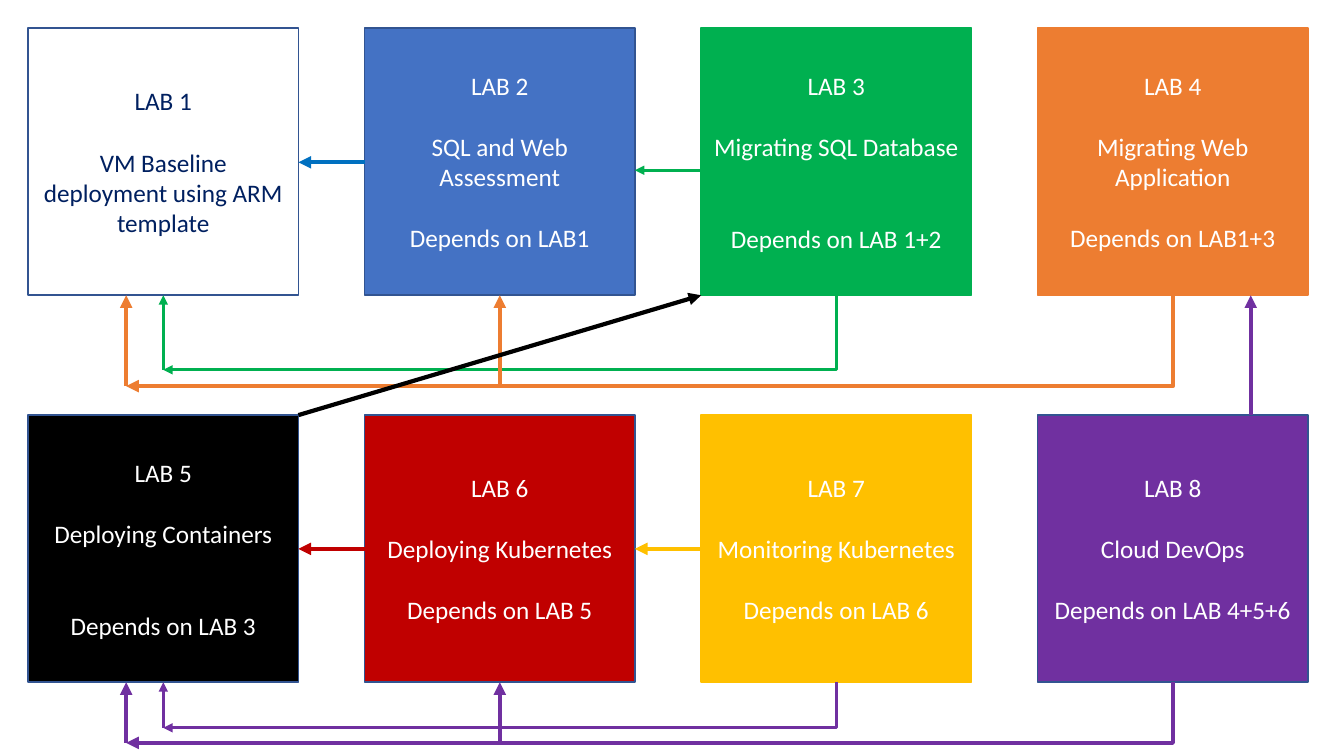
import pptx
import pptx.util
import pptx.dml.color
import pptx.enum.shapes
import pptx.enum.text
import pptx.oxml
import pptx.oxml.ns

Cm, Pt = pptx.util.Cm, pptx.util.Pt
Kind = pptx.enum.shapes.MSO_CONNECTOR
qn = pptx.oxml.ns.qn

theme = {
    "font": "Calibri", "size": 18, "blank": 22,
    "white": "FFFFFF", "navy": "002060", "edge": "325491",
    "sky": "0070C0", "blue": "4472C4", "green": "00B050", "orange": "ED7D31",
    "black": "000000", "red": "C00000", "gold": "FFC000", "purple": "7030A0",
}

deck = pptx.Presentation()
deck.slide_width, deck.slide_height = Cm(33.87), Cm(19.05)
slide = deck.slides.add_slide(deck.slide_layouts[6])


def color(name):
    return pptx.dml.color.RGBColor.from_string(theme[name])


def arrow(start, end, paint, width=3, bent=False):
    """Arrow from start to end; a bent one goes down, then left."""
    (x1, y1), (x2, y2) = start, end
    if bent:
        # The preset goes right, then down: lay its box out before a quarter turn
        midx, midy = (x1 + x2) / 2, (y1 + y2) / 2
        drop, run = y2 - y1, x1 - x2
        x1, x2 = midx - drop / 2, midx + drop / 2
        y1, y2 = midy - run / 2, midy + run / 2
    line = slide.shapes.add_connector(
        Kind.ELBOW if bent else Kind.STRAIGHT, Cm(x1), Cm(y1), Cm(x2), Cm(y2))
    line.line.color.rgb = color(paint)
    line.line.width = Pt(width)
    prop = line._element.spPr
    if bent:
        prop.find(qn("a:xfrm")).set("rot", "5400000")
        prop.find(qn("a:prstGeom")).set("prst", "bentConnector2")
    tip = pptx.oxml.parse_xml(
        '<a:tailEnd xmlns:a="http://schemas.openxmlformats.org/drawingml/2006/main"'
        ' type="triangle"/>')
    prop.find(qn("a:ln")).append(tip)
    prop.append(prop.makeelement(qn("a:effectLst"), {}))


# Grid of labs
wide, high = 6.81, 6.73
lefts = [0.71 + 8.48 * col for col in range(4)]
tops = [0.71, 10.46]
mids = [left + wide / 2 for left in lefts]
ends = [top + high for top in tops]

# Fill, edge, font, blank lines before the last text, texts
labs = [
    ("white", "edge", "navy", 1, ["VM Baseline deployment using ARM template"]),
    ("blue", "edge", "white", 1, ["SQL and Web Assessment", "Depends on LAB1"]),
    ("green", "green", "white", 2, ["Migrating SQL Database", "Depends on LAB 1+2"]),
    ("orange", "orange", "white", 1, ["Migrating Web Application", "Depends on LAB1+3"]),
    ("black", "edge", "white", 2, ["Deploying Containers", "Depends on LAB 3"]),
    ("red", "edge", "white", 1, ["Deploying Kubernetes", "Depends on LAB 5"]),
    ("gold", "gold", "white", 1, ["Monitoring Kubernetes", "Depends on LAB 6"]),
    ("purple", "edge", "white", 1, ["Cloud DevOps", "Depends on LAB 4+5+6"]),
]
for num, (fill, edge, ink, gap, texts) in enumerate(labs):
    row, col = divmod(num, 4)
    box = slide.shapes.add_shape(
        pptx.enum.shapes.MSO_SHAPE.RECTANGLE,
        Cm(lefts[col]), Cm(tops[row]), Cm(wide), Cm(high))
    box.name = f"Lab {num + 1}"
    box.shadow.inherit = False
    box.fill.solid()
    box.fill.fore_color.rgb = color(fill)
    box.line.color.rgb = color(edge)
    box.line.width = Pt(1)
    frame = box.text_frame
    frame.word_wrap = True
    frame.vertical_anchor = pptx.enum.text.MSO_ANCHOR.MIDDLE
    for pos, text in enumerate([f"LAB {num + 1}"] + texts):
        para = frame.add_paragraph() if pos else frame.paragraphs[0]
        para.text = text
        para.alignment = pptx.enum.text.PP_ALIGN.CENTER
        para.space_before = Pt(theme["blank"] * (0, 1, gap)[pos])
        para.font.name = theme["font"]
        para.font.size = Pt(theme["size"])
        para.font.color.rgb = color(ink)

# Routes under each row: row, from column, track height, colour, width, targets
side = 3.18
routes = [
    (0, 2, 9.32, "green", 2.25, [mids[0]]),
    (0, 3, 9.73, "orange", 3, [side, mids[1]]),
    (1, 2, 18.34, "purple", 2.25, [mids[0]]),
    (1, 3, 18.72, "purple", 3, [side, mids[1]]),
]
for row, col, track, paint, width, goals in routes:
    arrow((mids[col], ends[row]), (goals[0], track), paint, width, bent=True)
    for goal in goals:
        arrow((goal, track), (goal, ends[row]), paint, width)

# Arrows to the lab on the left: from column, height, colour, width
for col, y, paint, width in [
    (1, 4.09, "sky", 3), (2, 4.29, "green", 2.25),
    (1, 13.83, "red", 3), (2, 13.83, "gold", 3),
]:
    arrow((lefts[col], y), (lefts[col - 1] + wide, y), paint, width)

# Arrows between the rows
arrow((lefts[0] + wide, tops[1]), (lefts[2], ends[0]), "black")
arrow((31.52, tops[1]), (31.52, ends[0]), "purple")

deck.save("out.pptx")
